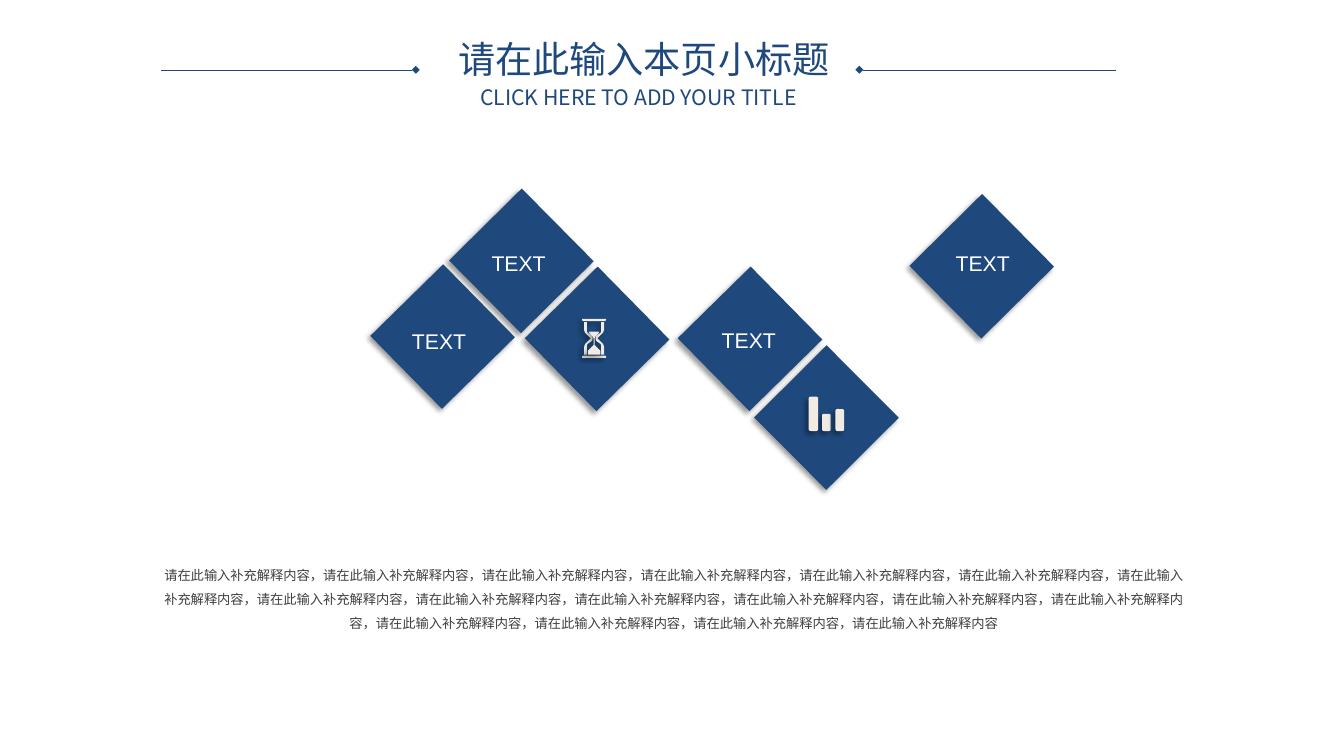
import pptx
import pptx.dml.color
import pptx.enum.shapes
import pptx.enum.text
import pptx.oxml
import pptx.oxml.ns
import pptx.util
from dataclasses import dataclass

# Content
HEADING = "请在此输入本页小标题"
SUBHEADING = "CLICK HERE TO ADD YOUR TITLE"
EXPLANATION = "，".join(["请在此输入补充解释内容"] * 17)

# Diamonds: column, row, rotation
DIAMONDS = [
    (2.02, 1.02, 45.5), (5.02, 2.05, 45.1), (4.02, 1.02, 45.5),
    (7.05, 0.07, 45.3), (1.03, 0, 45.3), (0, 0.99, 45.5),
]
# Labels: column, row, wording
LABELS = [(1, 0, "TEXT"), (7.07, 0, "TEXT"), (4.01, 1.01, "TEXT"), (-0.04, 1.02, "TEXT")]

# Bars: left, width, height in inches from the icon's left and base
BARS = [(0.14, 0.09, 0.18), (0.28, 0.09, 0.23), (0, 0.1, 0.36)]

# Hourglass outlines in hundredths of an inch from its centre
CAP = [(-12.5, 20.5), (12.5, 20.5), (12.5, 19), (11.5, 18), (-11.5, 18), (-12.5, 19)]
GLASS_INSIDE = [(-7.5, -17), (-7.5, -8), (-7, -6), (-2, -2.5), (-1.5, 0)]
GLASS_OUTSIDE = [(-3.5, 0), (-4.5, -1), (-7.5, -4), (-9.5, -6), (-10.5, -9), (-10.5, -17)]
SAND_LEFT = [(-6.5, 17), (-6.5, 13), (-1.5, 8), (-0.5, 7), (-0.5, 0),
             (-1.5, -2), (-4.5, -5), (-5.5, -7)]


@dataclass(frozen=True)
class Theme:
    blue: str = "1F497D"
    cream: str = "F2EBE3"
    white: str = "FFFFFF"
    grey: str = "404040"
    latin: str = "Arial"
    body: str = "Calibri"
    cjk: str = "Noto Sans CJK SC"
    heading_size: int = 28
    label_size: int = 16
    body_size: int = 10


THEME = Theme()
WIDTH, HEIGHT = 14.06, 7.91
ORIGIN_X, ORIGIN_Y, STEP = 4.63, 2.73, 0.8
SIDE = 1.07
BARS_LEFT, BARS_BASE = 8.46, 4.51
GLASS_X, GLASS_Y = 6.215, 3.54
RULE_Y = 0.73

inch = pptx.util.Inches
SHAPE = pptx.enum.shapes.MSO_SHAPE
ANCHOR = pptx.enum.text.MSO_ANCHOR
NS = pptx.oxml.ns.nsdecls("a")

deck = pptx.Presentation()
deck.slide_width, deck.slide_height = inch(WIDTH), inch(HEIGHT)
slide = deck.slides.add_slide(deck.slide_layouts[5])


def rgb(value):
    return pptx.dml.color.RGBColor.from_string(value)


def grid(column, row):
    return ORIGIN_X + column * STEP, ORIGIN_Y + row * STEP


def paint(part, color):
    part.fill.solid()
    part.fill.fore_color.rgb = rgb(color)
    part.line.fill.background()
    part.shadow.inherit = False
    effects = part._element.spPr.find(pptx.oxml.ns.qn("a:effectLst"))
    effects.append(pptx.oxml.parse_xml(
        f'<a:outerShdw {NS} blurRad="50800" dist="38100" dir="8100000" algn="tr" rotWithShape="0">'
        '<a:srgbClr val="000000"><a:alpha val="40000"/></a:srgbClr></a:outerShdw>'))


def write(holder, box, wording, size, face, color, spacing=None, anchor=ANCHOR.TOP):
    holder.left, holder.top, holder.width, holder.height = map(inch, box)
    frame = holder.text_frame
    frame.word_wrap = True
    frame.auto_size = pptx.enum.text.MSO_AUTO_SIZE.NONE
    frame.vertical_anchor = anchor
    paragraph = frame.paragraphs[0]
    paragraph.text = wording
    paragraph.alignment = pptx.enum.text.PP_ALIGN.CENTER
    paragraph.line_spacing = spacing
    paragraph.font.size = pptx.util.Pt(size)
    paragraph.font.name = face
    paragraph.font.color.rgb = rgb(color)
    defaults = paragraph._p.pPr.find(pptx.oxml.ns.qn("a:defRPr"))
    defaults.append(pptx.oxml.parse_xml(f'<a:ea {NS} typeface="{face}"/>'))


def text_box(box, *style, **layout):
    write(slide.shapes.add_textbox(0, 0, 0, 0), box, *style, **layout)


def flip(points, x=1, y=1):
    return [(px * x, py * y) for px, py in reversed(points)]


def outline(group, contours):
    placed = [[(inch(GLASS_X + x / 100), inch(GLASS_Y + y / 100)) for x, y in contour]
              for contour in contours]
    builder = group.shapes.build_freeform(*placed[0][0], scale=1.0)
    for index, contour in enumerate(placed):
        if index:
            builder.move_to(*contour[0])
        builder.add_line_segments(contour[1:], close=True)
    paint(builder.convert_to_shape(), THEME.cream)


# Diamonds and their labels
for column, row, angle in DIAMONDS:
    x, y = grid(column, row)
    diamond = slide.shapes.add_shape(
        SHAPE.RECTANGLE, inch(x - SIDE / 2), inch(y - SIDE / 2), inch(SIDE), inch(SIDE))
    diamond.rotation = angle
    paint(diamond, THEME.blue)

for column, row, wording in LABELS:
    x, y = grid(column, row)
    text_box((x - 0.5, y - 0.16, 0.99, 0.33), wording,
             THEME.label_size, THEME.latin, THEME.white)

# Bar icon
bar_icon = slide.shapes.add_group_shape()
for left, width, height in BARS:
    bar = bar_icon.shapes.add_shape(
        SHAPE.ROUNDED_RECTANGLE, inch(BARS_LEFT + left), inch(BARS_BASE - height),
        inch(width), inch(height))
    bar.adjustments[0] = 0.2
    paint(bar, THEME.cream)

# Hourglass icon
hourglass = slide.shapes.add_group_shape()
glass_left = (GLASS_INSIDE + flip(GLASS_INSIDE, y=-1)
              + flip(GLASS_OUTSIDE, y=-1) + GLASS_OUTSIDE)
outline(hourglass, [CAP, flip(CAP, y=-1)])
outline(hourglass, [glass_left, flip(glass_left, x=-1)])
outline(hourglass, [SAND_LEFT + flip(SAND_LEFT, x=-1)])

# Explanation
text_box((1.58, 5.8, 10.93, 0.83), EXPLANATION,
         THEME.body_size, THEME.body, THEME.grey, spacing=1.5)

# Rules beside the heading, each with a diamond at its inner end
for inner, outer in [(4.35, 1.68), (8.99, 11.67)]:
    rule = slide.shapes.add_connector(
        pptx.enum.shapes.MSO_CONNECTOR.STRAIGHT,
        inch(inner), inch(RULE_Y), inch(outer), inch(RULE_Y))
    rule.line.color.rgb = rgb(THEME.blue)
    rule.line.width = pptx.util.Pt(0.25)
    rule.line._get_or_add_ln().append(
        pptx.oxml.parse_xml(f'<a:headEnd {NS} type="diamond"/>'))
    rule._element.spPr.append(pptx.oxml.parse_xml(f"<a:effectLst {NS}/>"))

# Heading and subheading
text_box((4.1, 0.8, 5.16, 0.47), SUBHEADING, THEME.label_size, THEME.cjk, THEME.blue,
         spacing=0.9, anchor=ANCHOR.MIDDLE)
write(slide.shapes.title, (3.67, 0.41, 6.13, 0.47), HEADING, THEME.heading_size,
      THEME.latin, THEME.blue, spacing=0.9, anchor=ANCHOR.MIDDLE)

deck.save("out.pptx")
